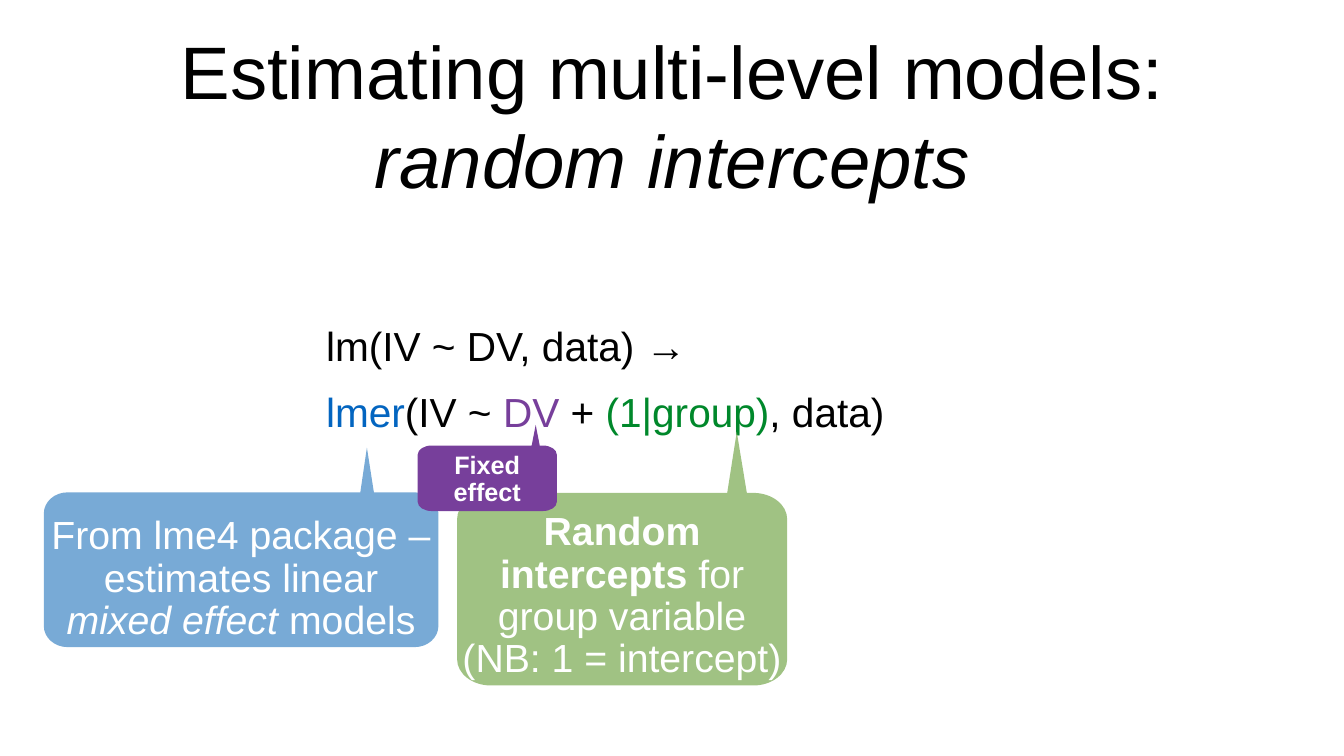
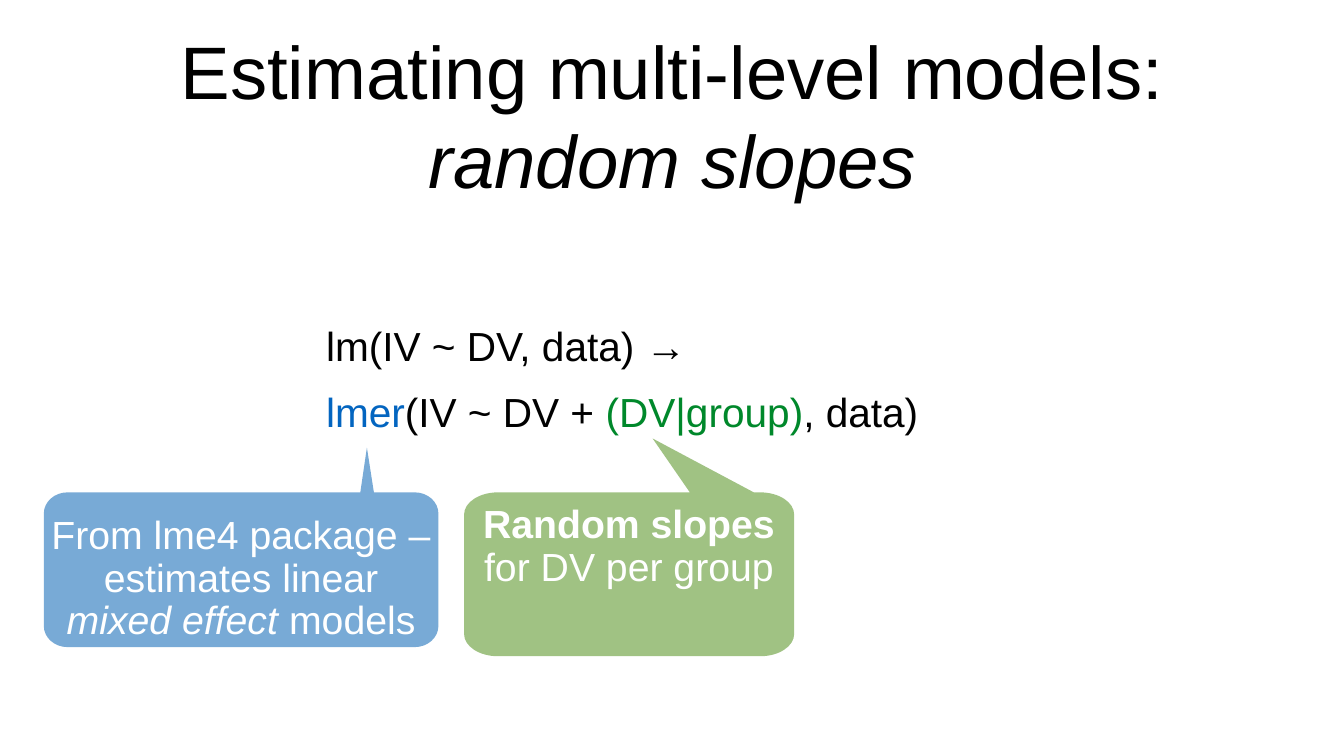
from lxml import etree
from pptx import Presentation
from pptx.dml.color import RGBColor
from pptx.enum.text import MSO_ANCHOR, PP_ALIGN
from pptx.oxml.ns import qn
from pptx.util import Inches, Pt

MID, LOW = MSO_ANCHOR.MIDDLE, MSO_ANCHOR.BOTTOM
CENTER, LEFT = PP_ALIGN.CENTER, PP_ALIGN.LEFT

FONT = "Arial"
BLACK, WHITE = "000000", "FFFFFF"
BLUE, GREEN, PURPLE = "0365C0", "00882B", "773F9B"
SKY, LEAF = "78AAD6", "A0C283"
BEND = 0.55  # share of the way to the corner that makes a quarter ellipse

deck = Presentation()
deck.slide_width, deck.slide_height = Inches(26.67), Inches(15)
# The grid has 100 columns and 100 rows
COL, ROW = deck.slide_width / 100, deck.slide_height / 100


def write(shape, paras, size, anchor, align, gap=0, indent=0, lines=None):
    """Fill a shape with paragraphs, each a list of (text, colour, style) runs."""
    frame = shape.text_frame
    frame.word_wrap = True
    frame.vertical_anchor = anchor
    frame.margin_left = frame.margin_right = Inches(0.08)
    frame.margin_top = frame.margin_bottom = Inches(0.08)
    for num, runs in enumerate(paras):
        para = frame.add_paragraph() if num else frame.paragraphs[0]
        para.alignment = align
        if num:
            para.space_before = Pt(gap)
        if indent:
            para._p.get_or_add_pPr().set("indent", str(Inches(indent)))
        if lines:
            para.line_spacing = lines
        for text, color, style in runs:
            if text == "\n":
                para.add_line_break()
                continue
            run = para.add_run()
            run.text = text
            font = run.font
            font.name, font.size = FONT, Pt(size)
            font.bold, font.italic = style == "b", style == "i"
            font.color.rgb = RGBColor.from_string(color)


def callout(slide, box, curve, tip, base, fill, runs, size=56, anchor=LOW):
    """Draw a rounded box whose top edge opens into a pointer between the base columns."""
    left, top, width, height = box
    right, bottom = left + width, top + height
    rx, ry = curve
    west, east, north, south = left + rx, right - rx, top + ry, bottom - ry
    dots = [(base[0], top), (west, top), (left, north), (left, south), (west, bottom),
            (east, bottom), (right, south), (right, north), (east, top), (base[1], top)]
    pen = slide.shapes.build_freeform(round(tip[0] * COL), round(tip[1] * ROW))
    pen.add_line_segments([(round(x * COL), round(y * ROW)) for x, y in dots], close=True)
    shape = pen.convert_to_shape()

    # Turn the four cut corners into curves
    edges = list(shape._element.iter(qn("a:lnTo")))
    ends = [(int(edge[0].get("x")), int(edge[0].get("y"))) for edge in edges]
    for num in (2, 4, 6, 8):
        (x1, y1), (x2, y2) = ends[num - 1], ends[num]
        cx, cy = (x2, y1) if num in (2, 6) else (x1, y2)
        edge = edges[num]
        bow = etree.Element(qn("a:cubicBezTo"))
        for x, y in ((x1 + (cx - x1) * BEND, y1 + (cy - y1) * BEND),
                     (x2 + (cx - x2) * BEND, y2 + (cy - y2) * BEND), (x2, y2)):
            etree.SubElement(bow, qn("a:pt"), x=str(round(x)), y=str(round(y)))
        edge.getparent().replace(edge, bow)

    shape.shadow.inherit = False
    shape.fill.solid()
    shape.fill.fore_color.rgb = RGBColor.from_string(fill)
    shape.line.fill.background()
    words = [(text, WHITE, style) for text, style in runs]
    write(shape, [words], size, anchor, CENTER, lines=0.9)


pages = [
    {
        "topic": "random intercepts",
        "model": [("(IV ~ ", BLACK, ""), ("DV", PURPLE, ""), (" + ", BLACK, ""),
                  ("(1|group)", GREEN, "")],
        "term": {
            "box": (34.01, 65.2, 24.56, 25.47), "curve": (2.51, 3.47),
            "tip": (54.82, 57.13), "base": (54.11, 55.57),
            "runs": [("Random intercepts ", "b"),
                     ("for group variable (NB: 1 = intercept)", "")],
        },
        "fixed": True,
    },
    {
        "topic": "random slopes",
        "model": [("(IV ~ DV + ", BLACK, ""), ("(DV|group)", GREEN, "")],
        "term": {
            "box": (34.53, 65.13, 24.56, 21.67), "curve": (2.51, 2.93),
            "tip": (48.56, 58), "base": (51.33, 56.09), "anchor": MID,
            "runs": [("Random slopes ", "b"), ("for DV per group", "")],
        },
        "fixed": False,
    },
]

for page in pages:
    slide = deck.slides.add_slide(deck.slide_layouts[6])

    title = slide.shapes.add_textbox(
        round(6.71 * COL), round(2.6 * ROW), round(86.61 * COL), round(25 * ROW))
    heading = [("Estimating multi-level models:", BLACK, ""), ("\n", BLACK, ""),
               (page["topic"], BLACK, "i")]
    write(title, [heading], 106.2, MID, CENTER)

    body = slide.shapes.add_textbox(
        round(22.65 * COL), round(20.73 * ROW), round(60.33 * COL), round(58.6 * ROW))
    code = [
        [("lm(IV ~ DV, data) →", BLACK, "")],
        [("lmer", BLUE, ""), *page["model"], (", data)", BLACK, "")],
    ]
    write(body, code, 58, MID, LEFT, gap=24, indent=0.35)

    callout(slide, fill=LEAF, **page["term"])
    callout(slide, (3.26, 65.13, 29.36, 20.47), (1.76, 2.8), (27.3, 59.2), (26.81, 27.82), SKY,
            [("From lme4 package – estimates linear ", ""), ("mixed effect ", "i"),
             ("models", "")])
    if page["fixed"]:
        callout(slide, (31.08, 58.93, 10.35, 8.67), (1.05, 1.2), (39.86, 56.2), (39.56, 40.16),
                PURPLE, [("Fixed effect", "b")], size=36)

deck.save("out.pptx")
